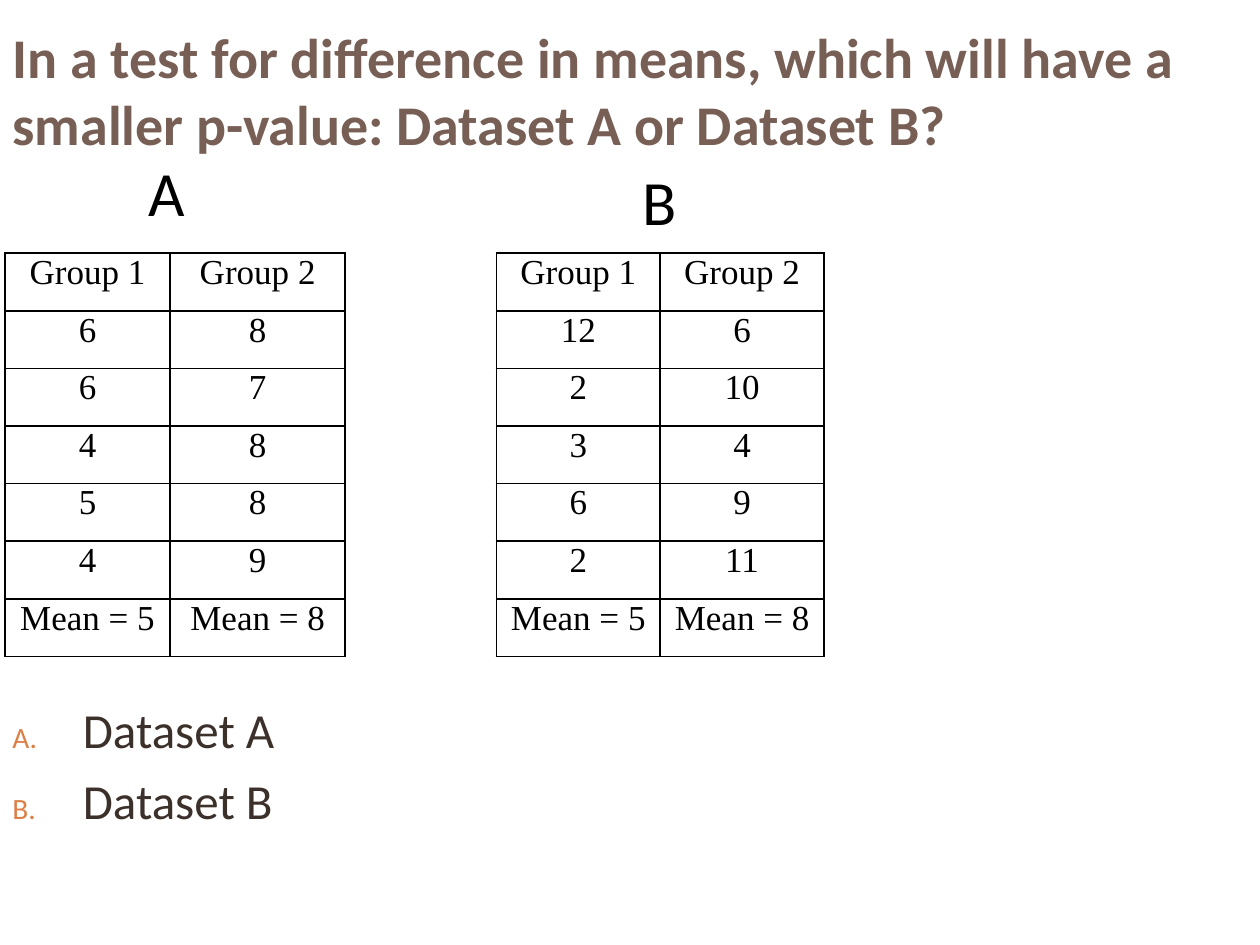
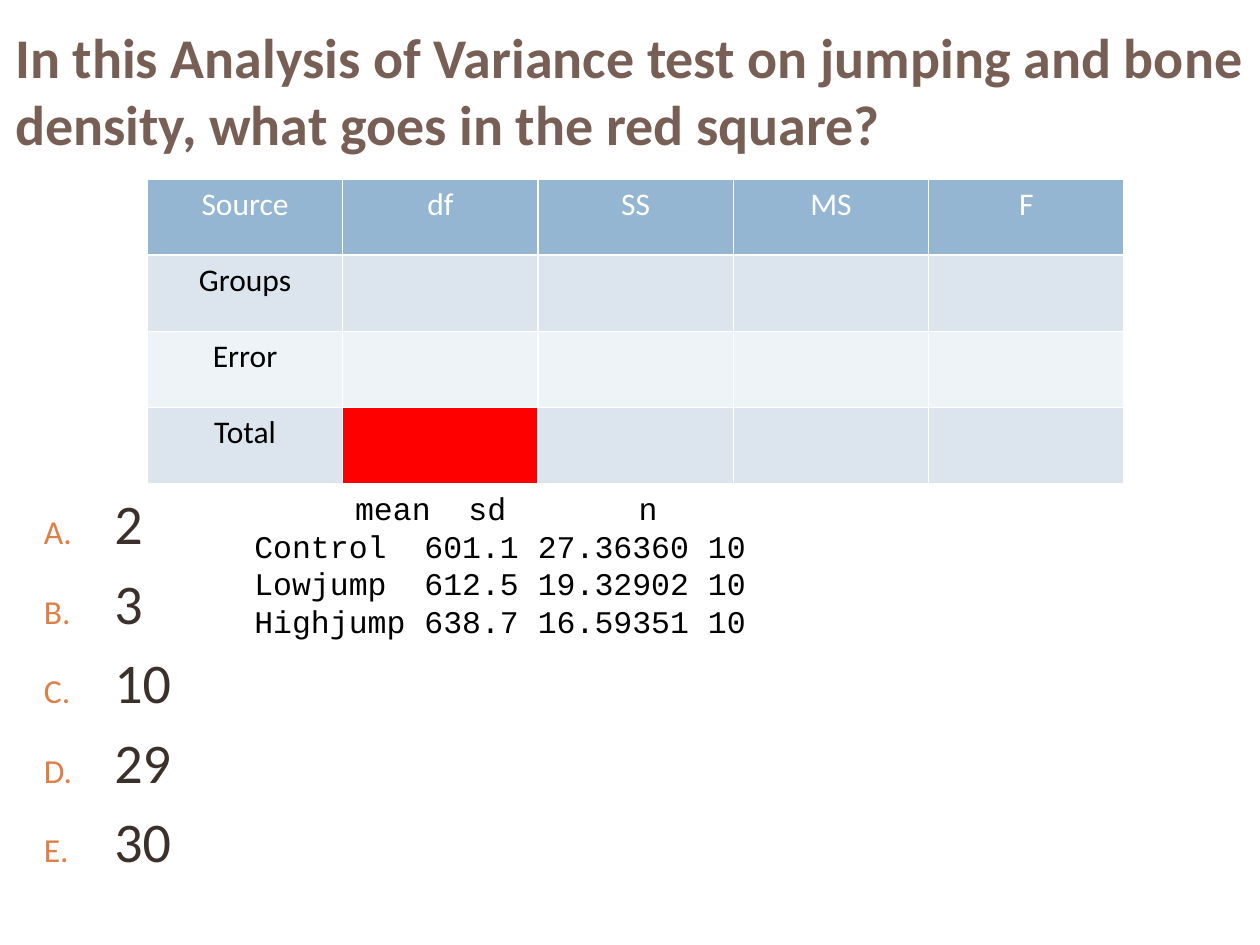
from lxml import etree
from pptx import Presentation
from pptx.dml.color import RGBColor
from pptx.enum.text import MSO_ANCHOR, PP_ALIGN
from pptx.oxml.ns import qn
from pptx.util import Inches, Pt

LEFT, CENTER = PP_ALIGN.LEFT, PP_ALIGN.CENTER
MIDDLE = MSO_ANCHOR.MIDDLE
TITLE_ONLY = 5

WIDTH, HEIGHT = 10, 7.5
SANS, SERIF, MONO = "Calibri", "Times New Roman", "Courier New"
BROWN, DARK, ORANGE = "775F55", "3C302A", "DD8047"
BLACK, WHITE, RED = "000000", "FFFFFF", "FF0000"
HEADER_BLUE, BAND_FILLS = "94B6D2", ("DCE5EE", "EEF3F7")

MEANS = {
    "title": "In a test for difference in means, which will have a "
             "smaller p-value: Dataset A or Dataset B?",
    "choices": ["Dataset A", "Dataset B"],
    "labels": [("A", (1.08, 1.17, 0.55, 0.71)), ("B", (5, 1.24, 0.67, 0.71))],
    "rows": [
        ["Group 1", "Group 2", "", "Group 1", "Group 2"],
        ["6", "8", "", "12", "6"],
        ["6", "7", "", "2", "10"],
        ["4", "8", "", "3", "4"],
        ["5", "8", "", "6", "9"],
        ["4", "9", "", "2", "11"],
        ["Mean = 5", "Mean = 8", "", "Mean = 5", "Mean = 8"],
    ],
    "columns": [1.31, 1.39, 1.2, 1.3, 1.3],
}
GAP_COLUMN = 2

ANOVA = {
    "title": "In this Analysis of Variance test on jumping and bone density, "
             "what goes in the red square?",
    "choices": ["2", "3", "10", "29", "30"],
    "rows": [
        ["Source", "df", "SS", "MS", "F"],
        ["Groups", "", "", "", ""],
        ["Error", "", "", "", ""],
        ["Total", "", "", "", ""],
    ],
    "columns": [1.55] * 5,
    "output": [
        "\t  mean  sd       n",
        "Control  601.1 27.36360 10",
        "Lowjump  612.5 19.32902 10",
        "Highjump 638.7 16.59351 10",
    ],
}
RED_CELL = (3, 1)


def rgb(color):
    return RGBColor.from_string(color)


def add_run(para, text, size, color, font=SANS, bold=False):
    span = para.add_run()
    span.text = text
    span.font.size, span.font.name, span.font.bold = Pt(size), font, bold
    span.font.color.rgb = rgb(color)


def add_lines(slide, area, lines, size, color, font=SANS, wrap=True):
    """Add a text box with one paragraph per line and return its paragraphs."""
    box = slide.shapes.add_textbox(*map(Inches, area))
    frame = box.text_frame
    frame.word_wrap = wrap
    for index, line in enumerate(lines):
        para = frame.add_paragraph() if index else frame.paragraphs[0]
        add_run(para, line, size, color, font)
    return frame.paragraphs


def add_choices(slide, area, choices, size):
    paras = add_lines(slide, area, choices, size, DARK)
    for index, para in enumerate(paras):
        if index:
            para.space_before = Pt(7)
        props = para._p.get_or_add_pPr()
        props.set("marL", str(Inches(0.56)))
        props.set("indent", str(-Inches(0.56)))
        color = etree.SubElement(props, qn("a:buClr"))
        etree.SubElement(color, qn("a:srgbClr"), val=ORANGE)
        etree.SubElement(props, qn("a:buSzPct"), val="60000")
        etree.SubElement(props, qn("a:buAutoNum"), type="alphaUcPeriod")


def set_borders(cell, color, hidden=""):
    """Draw 1 pt borders, except on the sides (L, R, T, B) in hidden."""
    props = cell._tc.get_or_add_tcPr()
    for side in "LRTB":
        line = etree.SubElement(props, qn("a:ln" + side), w=str(Pt(1)))
        if side in hidden:
            etree.SubElement(line, qn("a:noFill"))
        else:
            fill = etree.SubElement(line, qn("a:solidFill"))
            etree.SubElement(fill, qn("a:srgbClr"), val=color)


def add_grid(slide, left, top, height, content):
    """Add a plain table and return its cells by row and column."""
    rows, columns = content["rows"], content["columns"]
    table = slide.shapes.add_table(
        len(rows), len(columns), Inches(left), Inches(top),
        Inches(sum(columns)), Inches(height)).table
    table.first_row = table.horz_banding = False
    for column, width in zip(table.columns, columns):
        column.width = Inches(width)
    return {(r, c): table.cell(r, c)
            for r in range(len(rows)) for c in range(len(columns))}


def fill_cell(cell, text, size, color, font=SANS):
    if text:
        para = cell.text_frame.paragraphs[0]
        para.alignment = CENTER
        add_run(para, text, size, color, font)


def add_question(deck, text, left):
    slide = deck.slides.add_slide(deck.slide_layouts[TITLE_ONLY])
    title = slide.shapes.title
    title.left, title.top = Inches(left), Inches(0.17)
    title.width, title.height = Inches(WIDTH - left), Inches(1.08)
    title.text_frame.vertical_anchor = MIDDLE
    para = title.text_frame.paragraphs[0]
    para.alignment = LEFT
    add_run(para, text, 32, BROWN, bold=True)
    return slide


def build_means(deck):
    slide = add_question(deck, MEANS["title"], 0)
    add_choices(slide, (0, 5.5, 3.38, 1.5), MEANS["choices"], 28)
    for label, area in MEANS["labels"]:
        add_lines(slide, area, [label], 36, BLACK)
    cells = add_grid(slide, 0.04, 2.01, 3.2, MEANS)
    for (row, column), cell in cells.items():
        set_borders(cell, BLACK, "TB" if column == GAP_COLUMN else "")
        cell.fill.background()
        cell.margin_left = cell.margin_right = Inches(0.07)
        cell.margin_top = cell.margin_bottom = 0
        fill_cell(cell, MEANS["rows"][row][column], 20, BLACK, SERIF)


def build_anova(deck):
    slide = add_question(deck, ANOVA["title"], 0.02)
    add_lines(slide, (1.92, 3.83, 5.17, 1.31), ANOVA["output"], 18, BLACK, MONO)
    add_choices(slide, (0.25, 3.83, 2, 3.67), ANOVA["choices"], 32)
    cells = add_grid(slide, 1.17, 1.42, 2.42, ANOVA)
    for (row, column), cell in cells.items():
        fill = BAND_FILLS[(row - 1) % 2] if row else HEADER_BLUE
        set_borders(cell, WHITE)
        cell.fill.solid()
        cell.fill.fore_color.rgb = rgb(RED if (row, column) == RED_CELL else fill)
        fill_cell(cell, ANOVA["rows"][row][column], 18, BLACK if row else WHITE)


def main():
    deck = Presentation()
    deck.slide_width, deck.slide_height = Inches(WIDTH), Inches(HEIGHT)
    build_means(deck)
    build_anova(deck)
    deck.save("out.pptx")


if __name__ == "__main__":
    main()
